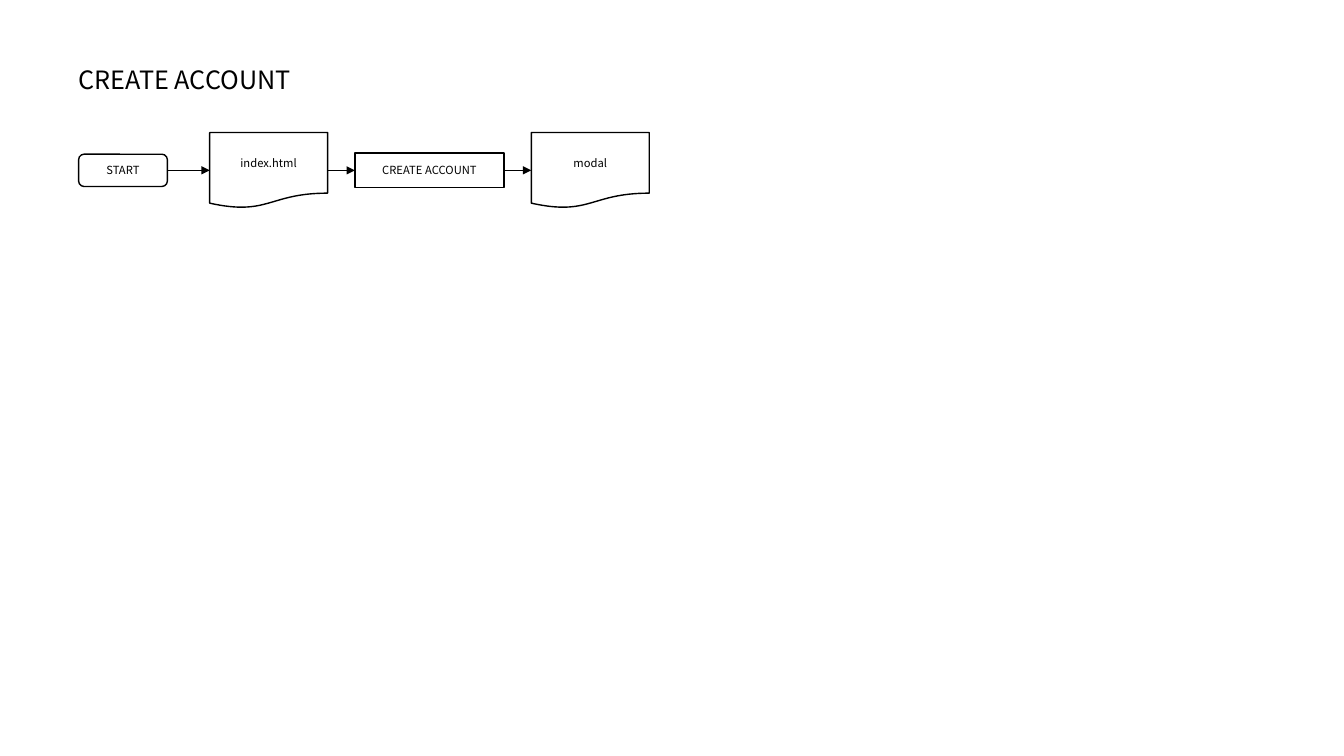
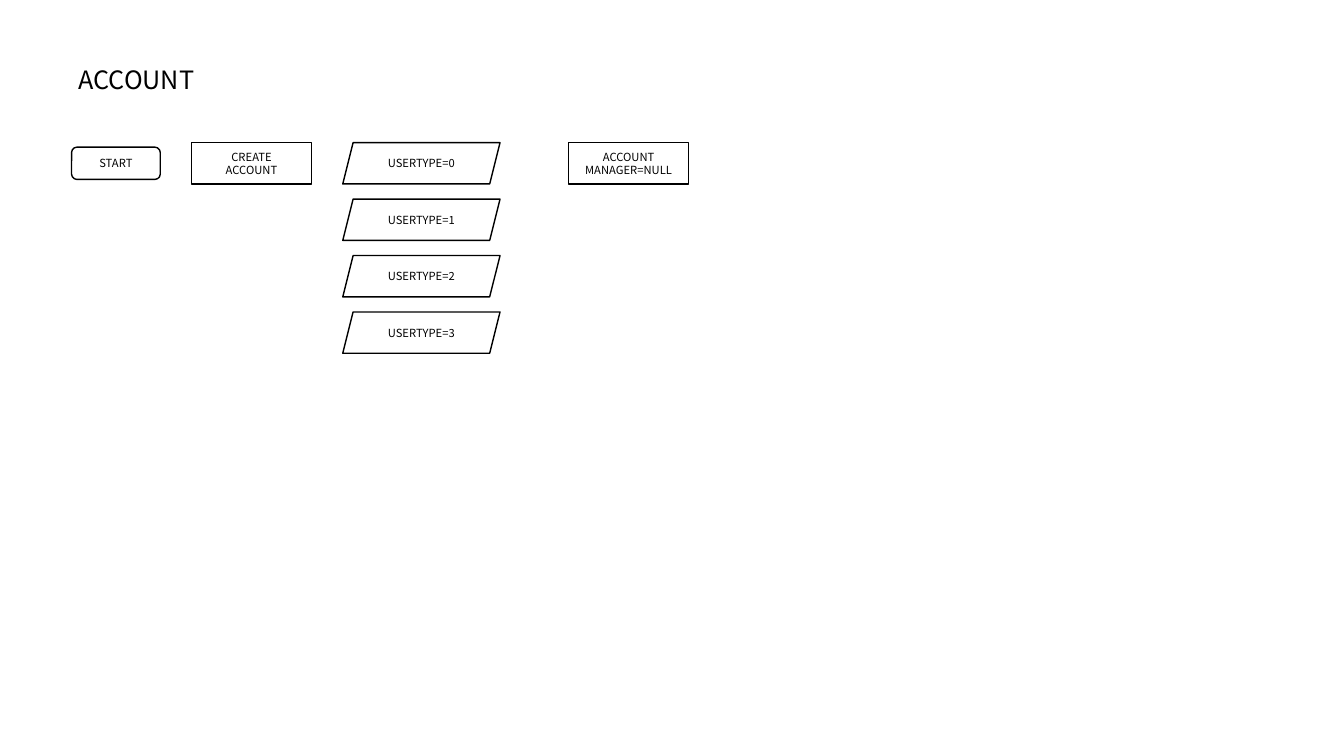
from dataclasses import dataclass

from lxml import etree
from pptx import Presentation
from pptx.dml.color import RGBColor
from pptx.enum.shapes import MSO_CONNECTOR, MSO_SHAPE
from pptx.enum.text import MSO_ANCHOR, MSO_AUTO_SIZE, PP_ALIGN
from pptx.oxml.ns import qn
from pptx.util import Inches, Pt

TERMINAL = MSO_SHAPE.ROUNDED_RECTANGLE
DOCUMENT = MSO_SHAPE.FLOWCHART_DOCUMENT
PROCESS = MSO_SHAPE.RECTANGLE
DATA = MSO_SHAPE.PARALLELOGRAM
STRAIGHT = MSO_CONNECTOR.STRAIGHT
MIDDLE = MSO_ANCHOR.MIDDLE
CENTER = PP_ALIGN.CENTER
FIT_SHAPE = MSO_AUTO_SIZE.SHAPE_TO_FIT_TEXT
LEFT_SITE, RIGHT_SITE = 1, 3


@dataclass(frozen=True)
class Theme:
    font: str = "Noto Sans CJK KR"
    ink: RGBColor = RGBColor(0, 0, 0)
    title_size: int = 18
    label_size: int = 8
    outline: float = 1
    arrow: float = 0.5


class FlowDeck:
    """Holds the theme, the deck and the current page."""

    def __init__(self, theme):
        self.theme = theme
        self.deck = Presentation()
        self.deck.slide_width = Inches(13.33)
        self.deck.slide_height = Inches(7.5)
        self.page = None

    def add_page(self, title, title_width):
        self.page = self.deck.slides.add_slide(self.deck.slide_layouts[6])
        box = self.page.shapes.add_textbox(
            Inches(0.68), Inches(0.59), Inches(title_width), Inches(0.4))
        frame = box.text_frame
        frame.word_wrap = False
        frame.auto_size = FIT_SHAPE
        self.set_text(frame, title, self.theme.title_size)

    def set_text(self, frame, text, size, align=None):
        text_format = {"name": self.theme.font, "size": Pt(size)}
        frame.text = text
        for para in frame.paragraphs:
            para.alignment = align
            for span in para.runs:
                for name, value in text_format.items():
                    setattr(span.font, name, value)
                span.font.color.rgb = self.theme.ink

    def draw_line(self, line, width):
        line.color.rgb = self.theme.ink
        line.width = Pt(width)

    def node(self, kind, text, left, middle, width, height):
        """Place an outlined step, centred vertically on middle."""
        box = self.page.shapes.add_shape(
            kind, Inches(left), Inches(middle - height / 2),
            Inches(width), Inches(height))
        box.shadow.inherit = False
        box.fill.background()
        self.draw_line(box.line, self.theme.outline)
        box.text_frame.vertical_anchor = MIDDLE
        self.set_text(box.text_frame, text, self.theme.label_size, CENTER)
        return box

    def arrow(self, source, target):
        link = self.page.shapes.add_connector(STRAIGHT, 0, 0, 0, 0)
        link.begin_connect(source, RIGHT_SITE)
        link.end_connect(target, LEFT_SITE)
        self.draw_line(link.line, self.theme.arrow)
        properties = link._element.spPr
        etree.SubElement(properties.find(qn("a:ln")), qn("a:tailEnd"), type="triangle")
        etree.SubElement(properties, qn("a:effectLst"))


flow = FlowDeck(Theme())
START_SIZE = (0.88, 0.32)
DOCUMENT_SIZE = (1.17, 0.75)
PROCESS_SIZE = (1.19, 0.41)

# Create account: a chain of linked steps
flow.add_page("CREATE ACCOUNT", 2.32)
steps = [
    (TERMINAL, "START", 0.78, START_SIZE),
    (DOCUMENT, "index.html", 2.08, DOCUMENT_SIZE),
    (PROCESS, "CREATE ACCOUNT", 3.52, (1.48, 0.34)),
    (DOCUMENT, "modal", 5.27, DOCUMENT_SIZE),
]
nodes = [flow.node(kind, text, left, 1.69, *size) for kind, text, left, size in steps]
for source, target in zip(nodes, nodes[1:]):
    flow.arrow(source, target)

# Account: user types stacked between two processes
ROW_MIDDLE, ROW_STEP = 1.62, 0.56
flow.add_page("ACCOUNT", 1.37)
flow.node(TERMINAL, "START", 0.71, ROW_MIDDLE, *START_SIZE)
flow.node(PROCESS, "CREATE\nACCOUNT", 1.9, ROW_MIDDLE, *PROCESS_SIZE)
for user_type in range(4):
    flow.node(DATA, f"USERTYPE={user_type}", 3.4,
              ROW_MIDDLE + user_type * ROW_STEP, 1.56, 0.41)
flow.node(PROCESS, "ACCOUNT\nMANAGER=NULL", 5.64, ROW_MIDDLE, *PROCESS_SIZE)

flow.deck.save("out.pptx")
